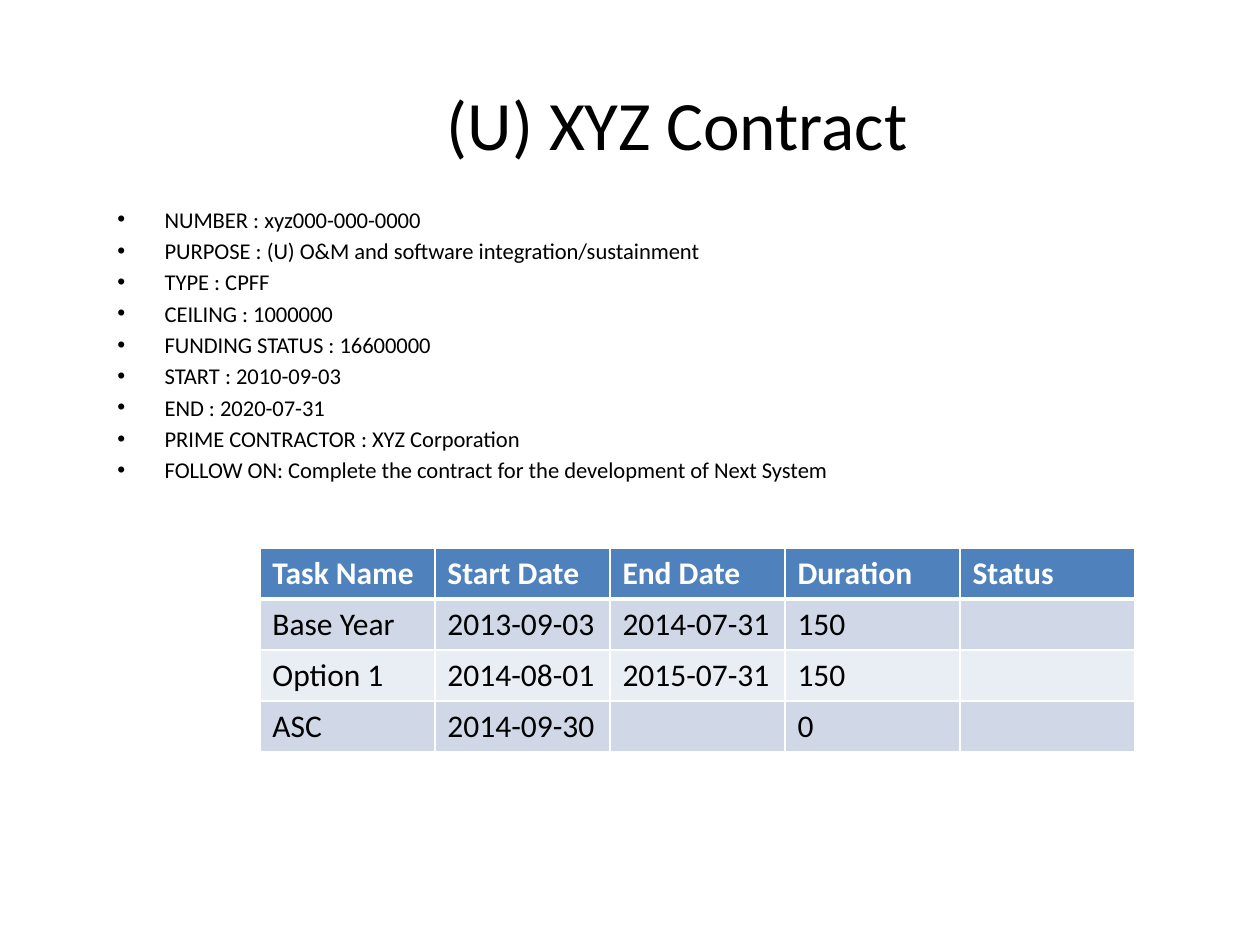
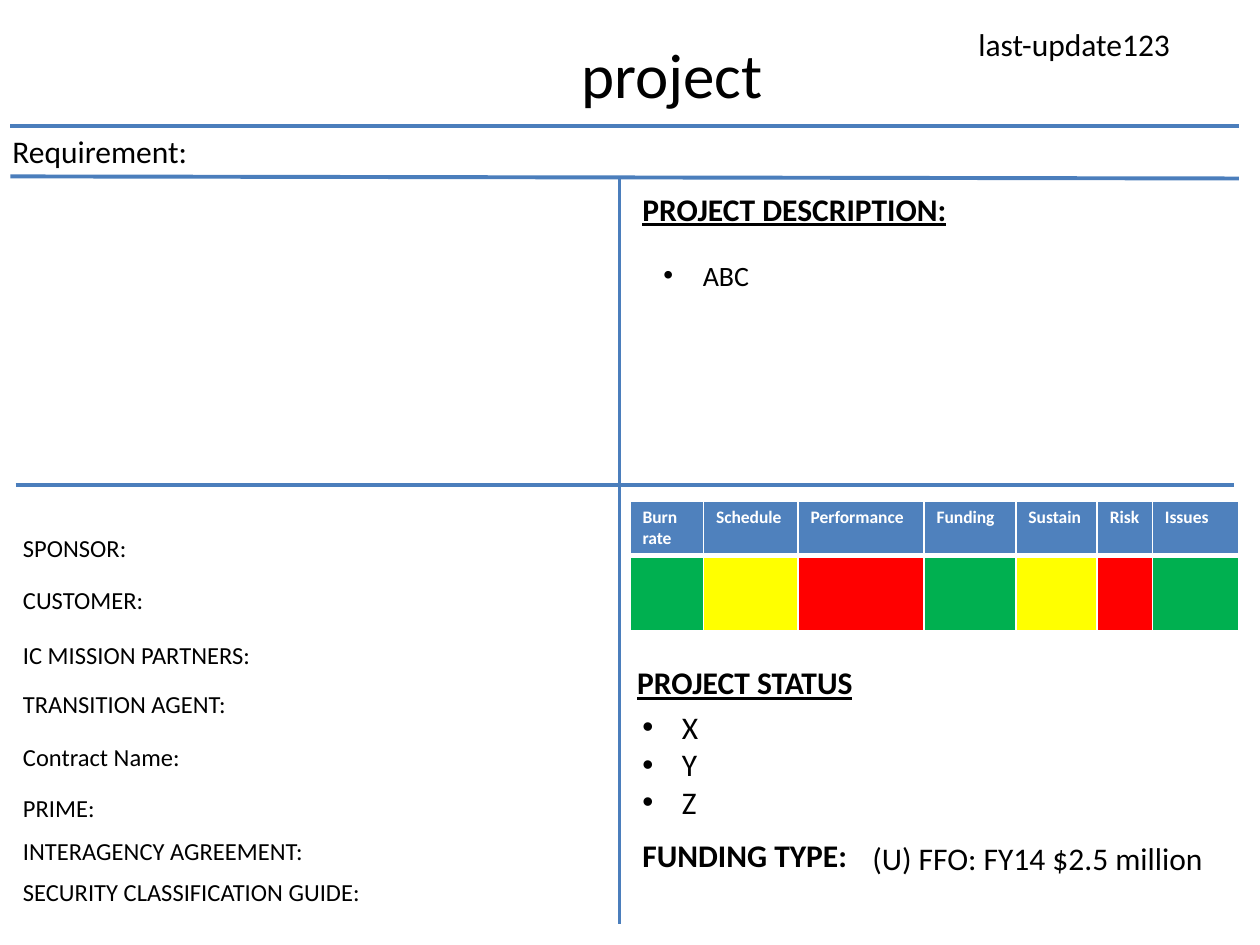
"""Build a contract overview slide and a project status slide."""
from dataclasses import dataclass

import lxml.etree
import pptx
import pptx.dml.color
import pptx.enum.shapes
import pptx.enum.text
import pptx.oxml.ns
import pptx.shapes.autoshape
import pptx.shapes.connector
import pptx.slide
import pptx.util

RGBColor = pptx.dml.color.RGBColor
BLACK = RGBColor(0x00, 0x00, 0x00)
WHITE = RGBColor(0xFF, 0xFF, 0xFF)
HEADER_BLUE = RGBColor(0x4F, 0x81, 0xBD)
RULE_BLUE = RGBColor(0x4B, 0x7E, 0xBC)
BAND_DARK = RGBColor(0xD0, 0xD8, 0xE8)
BAND_LIGHT = RGBColor(0xE9, 0xED, 0xF4)
GREEN = RGBColor(0x00, 0xB0, 0x50)
YELLOW = RGBColor(0xFF, 0xFF, 0x00)
RED = RGBColor(0xFF, 0x00, 0x00)

FONT = "Calibri"
SLIDE_WIDTH = pptx.util.Inches(10)
SLIDE_HEIGHT = pptx.util.Inches(7.5)
COLUMNS, ROWS = 120, 90
RULE_WEIGHT = 2.25
LEFT_EDGE, MIDDLE, RIGHT_EDGE = 1, 59, 118
RIGHT_PANEL = 60


@dataclass(frozen=True)
class Label:
    """Text lines in a box measured in grid columns and rows."""
    left: float
    top: float
    width: float
    height: float
    lines: tuple[str, ...]
    size: float = 18
    bold: bool = False
    underline: bool = False
    indent: float = 0
    space_before: float = 0
    title: bool = False


@dataclass(frozen=True)
class Rule:
    """A straight line between two grid points."""
    start: tuple[float, float]
    end: tuple[float, float]


@dataclass(frozen=True)
class Grid:
    """A table with a blue header and one fill for each body cell."""
    left: float
    top: float
    widths: tuple[float, ...]
    heights: tuple[float, ...]
    texts: tuple[tuple[str, ...], ...]
    fills: tuple[tuple[RGBColor, ...], ...]
    size: float


def across(columns: float) -> int:
    """Convert grid columns to a length."""
    return round(SLIDE_WIDTH * columns / COLUMNS)


def down(rows: float) -> int:
    """Convert grid rows to a length."""
    return round(SLIDE_HEIGHT * rows / ROWS)


def add_span(para, text: str, size: float, colour: RGBColor, bold: bool = False,
             underline: bool = False) -> None:
    """Add one styled run to a paragraph."""
    span = para.add_run()
    span.text = text
    font = span.font
    font.name, font.size = FONT, pptx.util.Pt(size)
    font.bold, font.underline = bold, underline
    font.color.rgb = colour


def add_bullet(para, indent: float) -> None:
    """Give a paragraph a hanging bullet."""
    properties = para._p.get_or_add_pPr()
    properties.set("marL", str(across(indent)))
    properties.set("indent", str(-across(indent)))
    for tag, key, value in (("a:buFont", "typeface", "Arial"), ("a:buChar", "char", "•")):
        element = lxml.etree.SubElement(properties, pptx.oxml.ns.qn(tag))
        element.set(key, value)


def draw_label(page: pptx.slide.Slide, label: Label) -> pptx.shapes.autoshape.Shape:
    """Draw a label and return its box."""
    box = page.shapes.add_textbox(across(label.left), down(label.top),
                                  across(label.width), down(label.height))
    frame = box.text_frame
    frame.word_wrap = True
    if label.title:
        frame.vertical_anchor = pptx.enum.text.MSO_ANCHOR.MIDDLE
    for index, text in enumerate(label.lines):
        para = frame.add_paragraph() if index else frame.paragraphs[0]
        if label.title:
            para.alignment = pptx.enum.text.PP_ALIGN.CENTER
        para.space_before = pptx.util.Pt(label.space_before)
        if label.indent:
            add_bullet(para, label.indent)
        add_span(para, text, label.size, BLACK, label.bold, label.underline)
    return box


def draw_title(page: pptx.slide.Slide, text: str, left: float, top: float, size: float) -> None:
    """Draw the centred slide title."""
    draw_label(page, Label(left, top, 102, 8, (text,), size, title=True))


def draw_rule(page: pptx.slide.Slide, rule: Rule) -> pptx.shapes.connector.Connector:
    """Draw a blue line without shadow."""
    line = page.shapes.add_connector(
        pptx.enum.shapes.MSO_CONNECTOR.STRAIGHT,
        across(rule.start[0]), down(rule.start[1]), across(rule.end[0]), down(rule.end[1]))
    line.line.color.rgb = RULE_BLUE
    line.line.width = pptx.util.Pt(RULE_WEIGHT)
    lxml.etree.SubElement(line._element.spPr, pptx.oxml.ns.qn("a:effectLst"))
    return line


def add_borders(cell, top: float, bottom: float) -> None:
    """Give a cell white borders of the stated weights."""
    properties = cell._tc.get_or_add_tcPr()
    for side, weight in (("L", 1), ("R", 1), ("T", top), ("B", bottom)):
        border = lxml.etree.SubElement(properties, pptx.oxml.ns.qn(f"a:ln{side}"))
        border.set("w", str(pptx.util.Pt(weight)))
        fill = lxml.etree.SubElement(border, pptx.oxml.ns.qn("a:solidFill"))
        colour = lxml.etree.SubElement(fill, pptx.oxml.ns.qn("a:srgbClr"))
        colour.set("val", str(WHITE))


def draw_grid(page: pptx.slide.Slide, grid: Grid) -> None:
    """Draw a table."""
    table = page.shapes.add_table(
        len(grid.heights), len(grid.widths), across(grid.left), down(grid.top),
        across(sum(grid.widths)), down(sum(grid.heights))).table
    for column, width in zip(table.columns, grid.widths):
        column.width = across(width)
    header_fills = (HEADER_BLUE,) * len(grid.widths)
    fills = (header_fills, *grid.fills)
    for row_index, height in enumerate(grid.heights):
        table.rows[row_index].height = down(height)
        header = row_index == 0
        for column_index, text in enumerate(grid.texts[row_index]):
            cell = table.cell(row_index, column_index)
            add_borders(cell, 3 if row_index == 1 else 1, 3 if header else 1)
            cell.fill.solid()
            cell.fill.fore_color.rgb = fills[row_index][column_index]
            if text:
                add_span(cell.text_frame.paragraphs[0], text, grid.size,
                         WHITE if header else BLACK, header)


CONTRACT_FACTS = Label(10, 19, 108, 25, (
    "NUMBER : xyz000-000-0000",
    "PURPOSE : (U) O&M and software integration/sustainment",
    "TYPE : CPFF",
    "CEILING : 1000000",
    "FUNDING STATUS : 16600000",
    "START : 2010-09-03",
    "END : 2020-07-31",
    "PRIME CONTRACTOR : XYZ Corporation",
    "FOLLOW ON: Complete the contract for the development of Next System",
), size=12.9, indent=4.5, space_before=2.4)

TASKS = Grid(24.75, 52.2, (16.67,) * 5, (4.86,) * 4, (
    ("Task Name", "Start Date", "End Date", "Duration", "Status"),
    ("Base Year", "2013-09-03", "2014-07-31", "150", ""),
    ("Option 1", "2014-08-01", "2015-07-31", "150", ""),
    ("ASC", "2014-09-30", "", "0", ""),
), tuple((band,) * 5 for band in (BAND_DARK, BAND_LIGHT, BAND_DARK)), 18)

HEALTH = Grid(RIGHT_PANEL, 47.7, (7, 9, 12, 8.75, 7.75, 5.25, 8.25), (4, 7.2), (
    ("Burn rate", "Schedule", "Performance", "Funding", "Sustain", "Risk", "Issues"),
    ("",) * 7,
), ((GREEN, YELLOW, RED, GREEN, YELLOW, RED, GREEN),), 10)

REQUIREMENT = Label(0, 12, RIGHT_EDGE, 4.8, ("Requirement:",))
DIVIDER = Rule((MIDDLE, 16.8), (MIDDLE, 88))
RULES = (
    Rule((LEFT_EDGE, 16.8), (RIGHT_EDGE, 17)),
    Rule((LEFT_EDGE, 12), (RIGHT_EDGE, 12)),
    Rule((1.5, 46.2), (117.5, 46.2)),
)

PROJECT_FIELDS = (
    ("SPONSOR:", 50.2),
    ("CUSTOMER:", 55.1),
    ("IC MISSION PARTNERS:", 60.4),
    ("TRANSITION AGENT:", 65),
    ("Contract Name:", 70.1),
    ("PRIME:", 74.9),
    ("INTERAGENCY AGREEMENT:", 79),
    ("SECURITY CLASSIFICATION GUIDE:", 82.9),
)

PROJECT_LABELS = (
    Label(92, 1.8, 24.8, 5, ("last-update123",)),
    Label(RIGHT_PANEL, 17.5, 58, 4.8, ("PROJECT DESCRIPTION:",), bold=True, underline=True),
    Label(62, 24, 54.8, 7.7, ("ABC",), size=16, indent=3.75),
    Label(59.5, 62.6, 45, 4.8, ("PROJECT STATUS",), bold=True, underline=True),
    Label(RIGHT_PANEL, 66.8, 40, 12.1, ("X", "Y", "Z"), indent=3.75),
    Label(RIGHT_PANEL, 79, 22, 5, ("FUNDING TYPE:",), bold=True),
    Label(81.9, 79.3, 34.6, 4.8, ("(U) FFO: FY14 $2.5 million",)),
)


def build_contract(page: pptx.slide.Slide) -> None:
    """Fill the contract slide."""
    draw_title(page, "(U) XYZ Contract", 13.5, 7.7, 39.6)
    draw_label(page, CONTRACT_FACTS)
    draw_grid(page, TASKS)


def build_project(page: pptx.slide.Slide) -> None:
    """Fill the project slide."""
    draw_title(page, "project", 13, 3, 36)
    draw_grid(page, HEALTH)
    for rule in RULES:
        draw_rule(page, rule)
    requirement_box = draw_label(page, REQUIREMENT)
    draw_rule(page, DIVIDER).begin_connect(requirement_box, 2)
    for text, top in PROJECT_FIELDS:
        draw_label(page, Label(LEFT_EDGE, top, 56, 4, (text,), size=14))
    for label in PROJECT_LABELS:
        draw_label(page, label)


def main() -> None:
    """Build and save the deck."""
    deck = pptx.Presentation()
    deck.slide_width, deck.slide_height = SLIDE_WIDTH, SLIDE_HEIGHT
    for build in (build_contract, build_project):
        build(deck.slides.add_slide(deck.slide_layouts[6]))
    deck.save("out.pptx")


if __name__ == "__main__":
    main()
